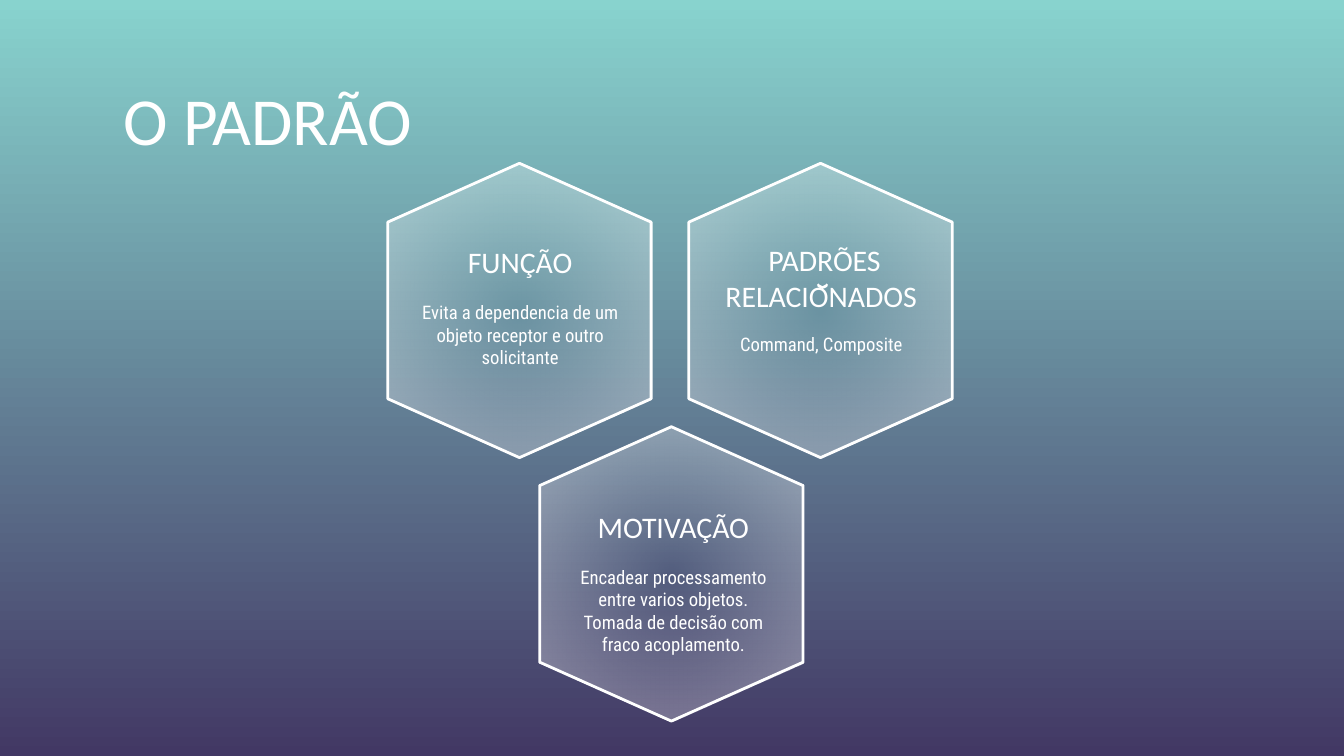
from lxml.etree import SubElement
from pptx import Presentation
from pptx.dml.color import RGBColor
from pptx.enum.shapes import MSO_SHAPE
from pptx.enum.text import MSO_ANCHOR, PP_ALIGN
from pptx.oxml.ns import qn
from pptx.util import Pt

PX = 4572  # EMU per px, 200 px to the inch
COLORS = {"white": "FFFFFF", "top": "88D3CE", "base": "423864"}
HEX_W, HEX_H = 438, 392
INSET = 20
TEXT_W, HEAD_H, BODY_H = 344, 126, 80
BODY_DY = 118

HEAD = {"name": "Calibri", "size": Pt(16)}
BODY = {"name": "Roboto Condensed", "size": Pt(10)}
TITLE = {"name": "Calibri", "size": Pt(36)}

# left and top of hexagon, left and top of heading, heading, body
CELLS = [
    (554, 266, 602, 310, "FUNÇÃO",
     "Evita a dependencia de um objeto receptor e outro solicitante"),
    (780, 658, 830, 704, "MOTIVAÇÃO",
     "Encadear processamento entre varios objetos. "
     "Tomada de decisão com fraco acoplamento."),
    (1002, 266, 1050, 360, " PADRÕES RELACIONADOS", "Command, Composite"),
]
SMILE = [(1218, 422), (1216, 424), (1217, 427), (1221, 429), (1224, 430),
         (1227, 429), (1231, 427), (1232, 424), (1230, 422), (1228, 424),
         (1224, 426), (1220, 424)]


def color(name):
    return RGBColor.from_string(COLORS[name])


def emu(*sizes):
    return [size * PX for size in sizes]


def paint_back(slide):
    fill = slide.background.fill
    fill.gradient()
    fill.gradient_angle = 270
    for stop, name, place in zip(fill.gradient_stops, ("top", "base"), (0, 1)):
        stop.color.rgb = color(name)
        stop.position = place


def add_glow(shape):
    """Fill with white that goes from clear at the centre to 39 % at the rim."""
    shape.fill.gradient()
    grad = shape.fill._xPr.find(qn("a:gradFill"))
    for stop, alpha in zip(grad.iter(qn("a:gs")), (0, 39000)):
        for child in list(stop):
            stop.remove(child)
        tint = SubElement(stop, qn("a:srgbClr"), val=COLORS["white"])
        SubElement(tint, qn("a:alpha"), val=str(alpha))
    for stop, place in zip(shape.fill.gradient_stops, (0, 1)):
        stop.position = place
    grad.remove(grad.find(qn("a:lin")))
    way = SubElement(grad, qn("a:path"), path="circle")
    SubElement(way, qn("a:fillToRect"),
               {side: "50000" for side in "ltrb"})


def add_hex(slide, left, top):
    shape = slide.shapes.add_shape(
        MSO_SHAPE.FLOWCHART_PREPARATION, *emu(left, top, HEX_W, HEX_H))
    shape.rotation = 90
    shape.shadow.inherit = False
    add_glow(shape)
    shape.line.color.rgb = color("white")
    shape.line.width = Pt(1.5)


def add_text(slide, box, text, font, anchor, align):
    frame = slide.shapes.add_textbox(*emu(*box)).text_frame
    form = {"word_wrap": True, "vertical_anchor": anchor}
    for side in ("left", "top", "right", "bottom"):
        form[f"margin_{side}"] = INSET * PX
    for key, value in form.items():
        setattr(frame, key, value)
    para = frame.paragraphs[0]
    para.alignment = align
    run = para.add_run()
    run.text = text
    for key, value in font.items():
        setattr(run.font, key, value)
    run.font.color.rgb = color("white")


def add_cell(slide, left, top, head, body):
    add_text(slide, (left, top, TEXT_W, HEAD_H), head, HEAD,
             MSO_ANCHOR.BOTTOM, PP_ALIGN.CENTER)
    add_text(slide, (left, top + BODY_DY, TEXT_W, BODY_H), body, BODY,
             MSO_ANCHOR.TOP, PP_ALIGN.CENTER)


def add_smile(slide):
    path = slide.shapes.build_freeform(*SMILE[0], scale=PX)
    path.add_line_segments(SMILE[1:], close=True)
    shape = path.convert_to_shape()
    shape.shadow.inherit = False
    shape.fill.solid()
    shape.fill.fore_color.rgb = color("white")
    shape.line.fill.background()


def main():
    deck = Presentation()
    deck.slide_width, deck.slide_height = emu(2000, 1125)
    slide = deck.slides.add_slide(deck.slide_layouts[6])
    paint_back(slide)
    for left, top, *_ in CELLS:
        add_hex(slide, left, top)
    add_text(slide, (164, 110, 650, 146), "O PADRÃO", TITLE,
             MSO_ANCHOR.BOTTOM, PP_ALIGN.LEFT)
    for _, _, *cell in CELLS:
        add_cell(slide, *cell)
    add_smile(slide)
    deck.save("out.pptx")


if __name__ == "__main__":
    main()
